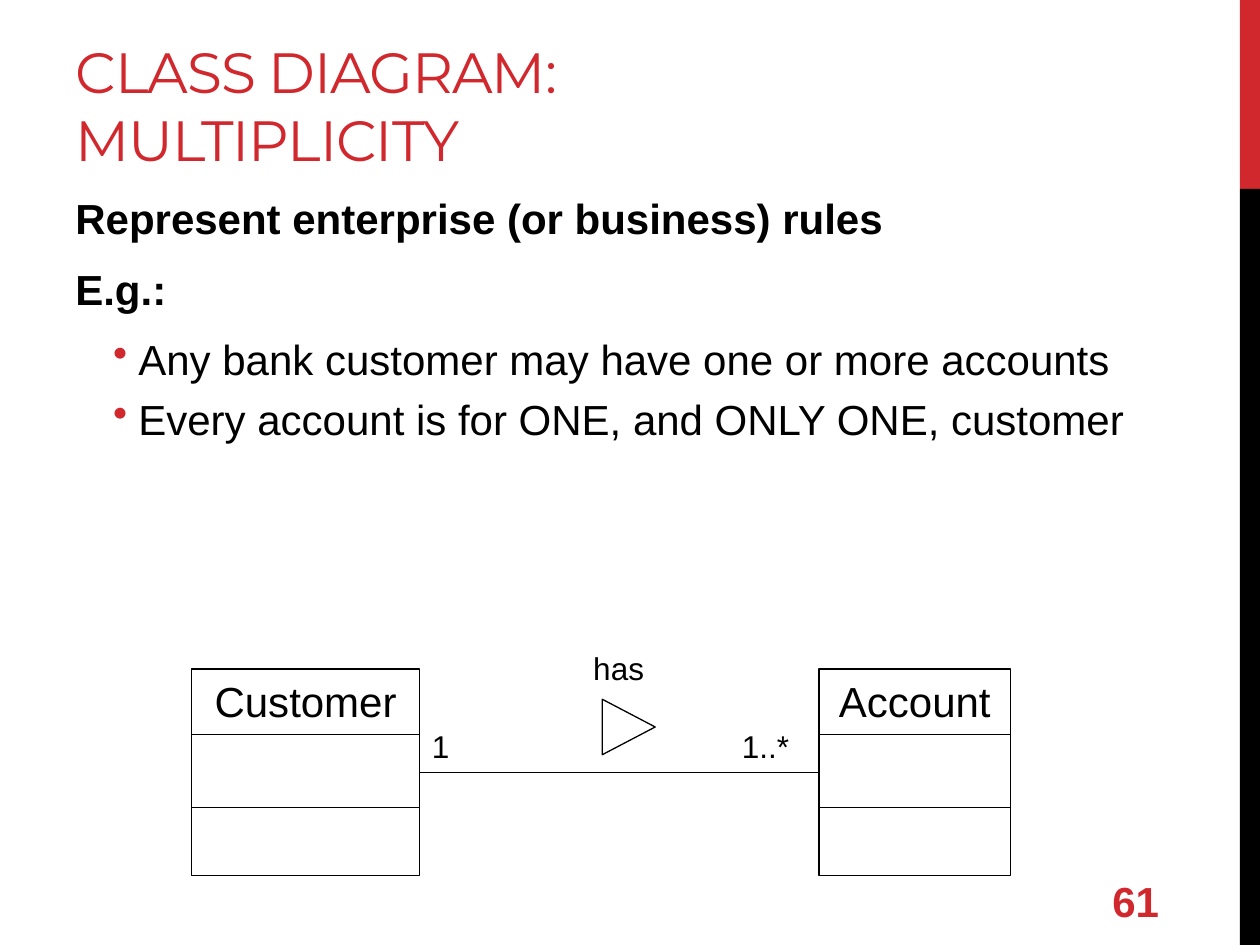
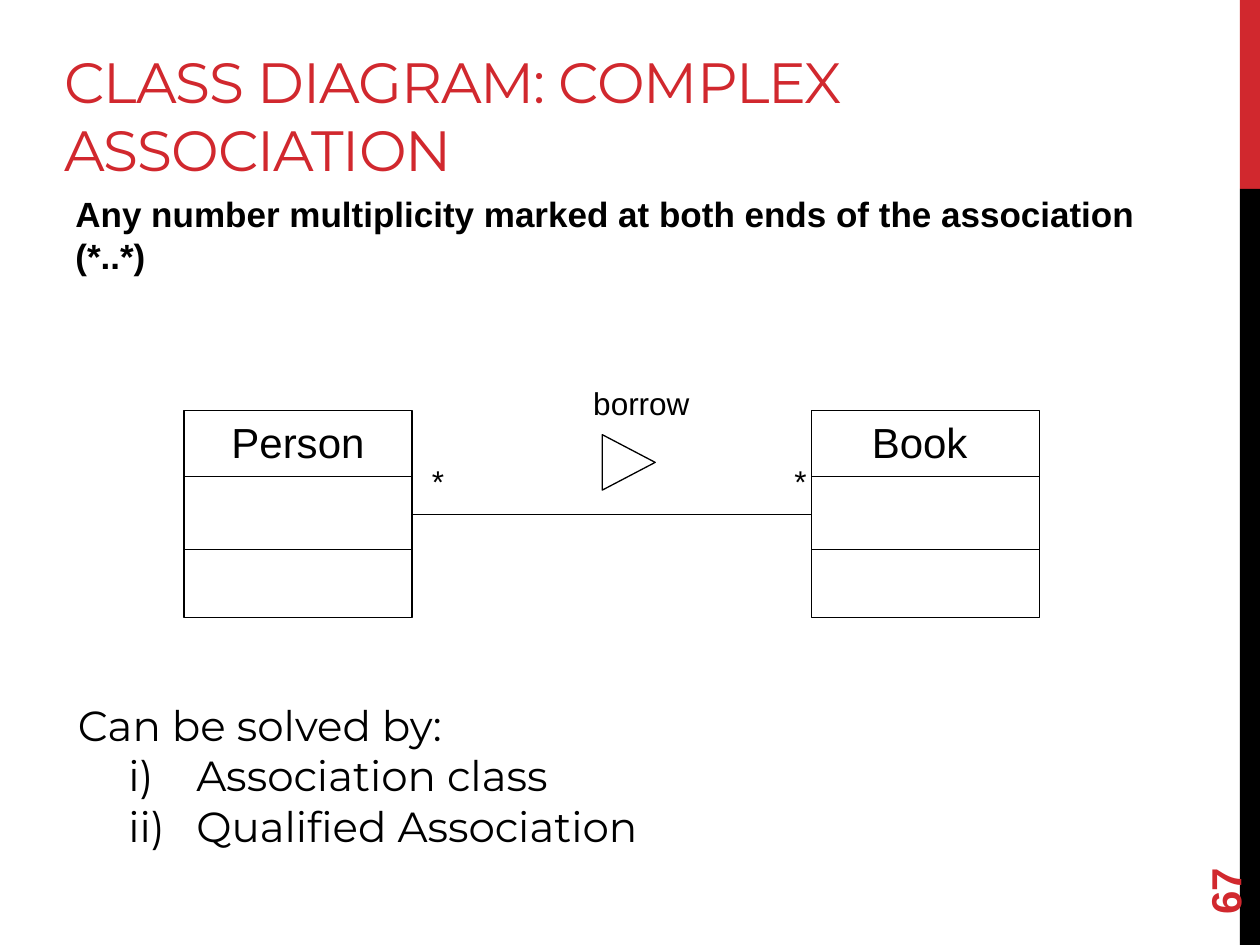
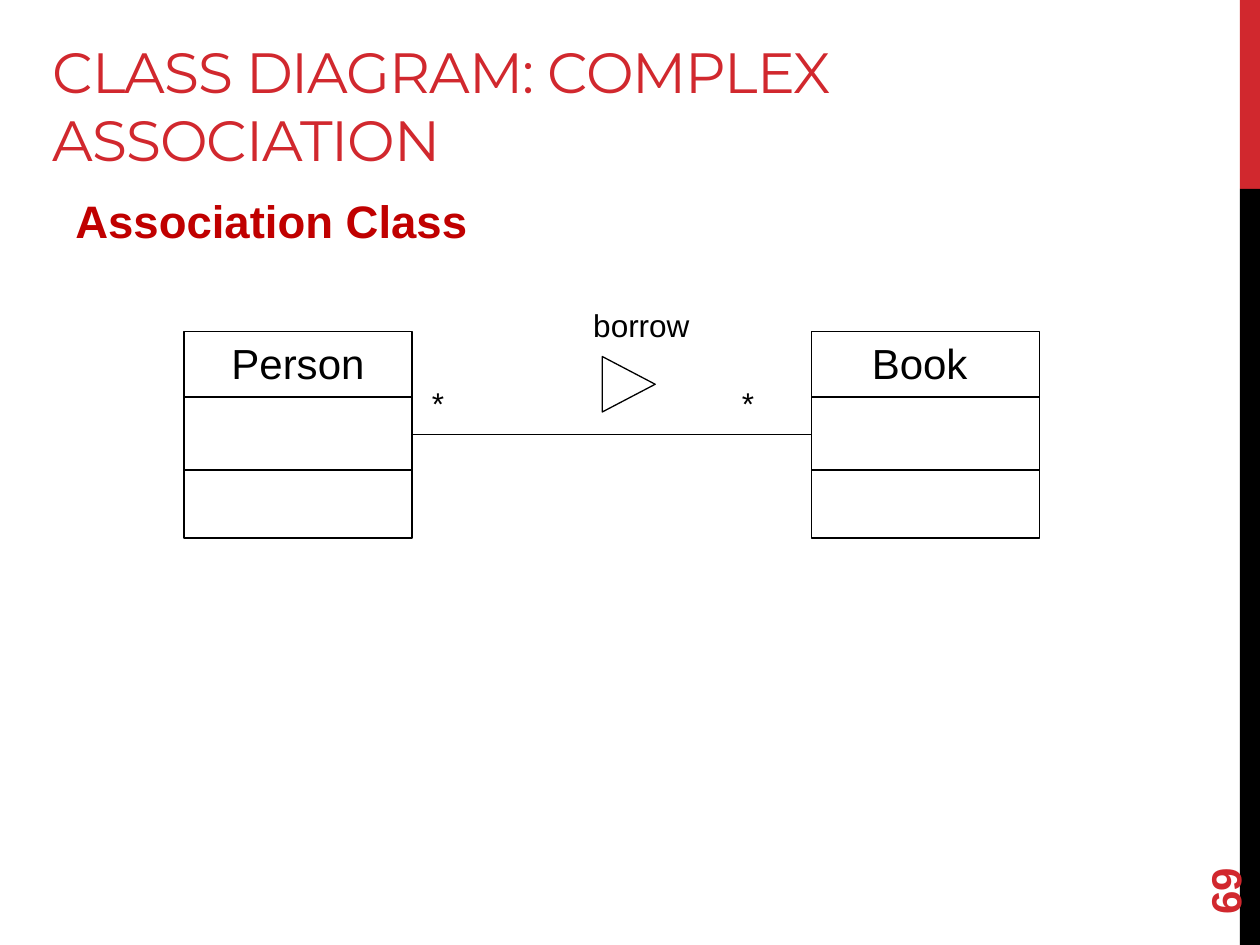
"""Build three class diagram slides about multiplicity and complex association."""
from dataclasses import dataclass

from lxml.etree import SubElement
from pptx import Presentation
from pptx.dml.color import RGBColor
from pptx.enum.shapes import MSO_CONNECTOR, MSO_SHAPE
from pptx.enum.text import MSO_ANCHOR, MSO_AUTO_SIZE, PP_ALIGN
from pptx.oxml.ns import qn
from pptx.util import Inches, Pt


@dataclass(frozen=True)
class Theme:
    red: str = "D1282E"
    dark_red: str = "C00000"
    black: str = "000000"
    white: str = "FFFFFF"
    title_font: str = "Montserrat"
    body_font: str = "Arial"
    title_size: float = 32.4
    text_size: float = 24
    label_size: float = 18
    outline: float = 0.75
    thin_line: float = 0.25


THEME = Theme()
WIDTH, HEIGHT = 10, 7.5
BAND_WIDTH, BAND_SPLIT = 0.16, HEIGHT / 5
CLASS_WIDTH, CLASS_HEIGHT = 1.81, 1.64
NAME_HEIGHT, ATTRIBUTES_HEIGHT = 0.52, 0.58
LABEL_HEIGHT, MULTIPLICITY_WIDTH = 0.4, 0.71
LABEL_LEFT, TRIANGLE_LEFT = 4.61, 4.77
MULTIPLICITY_LEFTS = (3.33, 5.79)
TRIANGLE_DROP, MULTIPLICITY_DROP = 0.46, 0.62
UPRIGHT_NUMBER = (8.73, 6.95, 0.77, 0.4)
TURNED_NUMBER = (9, 6.44, 1.44, 0.4)

BULLET = {"left": 0.5, "hanging": 0.2, "character": "•"}
ROMAN = {"left": 0.94, "hanging": 0.54, "numbering": "romanLcParenR"}

SLIDES = [
    {
        "title": ("CLASS DIAGRAM: MULTIPLICITY", (0.5, 0.17, 6.33, 1.25)),
        "body": [
            ("Represent enterprise (or business) rules", {"bold": True, "after": 6}),
            ("E.g.:", {"bold": True, "before": 5.5, "after": 6}),
            ("Any bank customer may have one or more accounts", {"before": 5.5, "marker": BULLET}),
            ("Every account is for ONE, and ONLY ONE, customer", {"before": 5.5, "marker": BULLET}),
        ],
        "body_height": 3.39,
        "number": ("61", UPRIGHT_NUMBER, 0),
        "classes": [("Customer", 1.52, CLASS_WIDTH), ("Account", 6.5, 1.52)],
        "class_top": 5.31,
        "association": ("has", 0.82, 5.1),
        "multiplicities": [("1", PP_ALIGN.LEFT), ("1..*", PP_ALIGN.LEFT)],
    },
    {
        "title": ("CLASS DIAGRAM: COMPLEX ASSOCIATION", (0.41, 0.25, 8.75, 1.25)),
        "body": [("Any number multiplicity marked at both ends of the association (*..*)",
                  {"bold": True, "size": 20})],
        "body_height": 1.37,
        "number": ("67", TURNED_NUMBER, 270),
        "classes": [("Person", 1.46, CLASS_WIDTH), ("Book ", 6.44, CLASS_WIDTH)],
        "class_top": 3.26,
        "association": ("borrow", 1.18, 3),
        "multiplicities": [("*", PP_ALIGN.LEFT), ("*", PP_ALIGN.RIGHT)],
        "solutions": [
            ("Can be solved by:", {}),
            ("Association class", {"marker": ROMAN}),
            ("Qualified Association", {"marker": ROMAN}),
        ],
    },
    {
        "title": ("CLASS DIAGRAM: COMPLEX ASSOCIATION", (0.32, 0.17, 9.33, 1.25)),
        "body": [("Association Class", {"bold": True, "size": 26, "color": THEME.dark_red})],
        "body_height": 0.85,
        "number": ("69", TURNED_NUMBER, 270),
        "classes": [("Person", 1.46, CLASS_WIDTH), ("Book ", 6.44, CLASS_WIDTH)],
        "class_top": 2.63,
        "association": ("borrow", 1.18, 2.38),
        "multiplicities": [("*", PP_ALIGN.LEFT), ("*", PP_ALIGN.LEFT)],
    },
]


def mark_paragraph(paragraph, left, hanging, character=None, numbering=None):
    """Give a paragraph a hanging indent and a bullet or number."""
    properties = paragraph._p.get_or_add_pPr()
    properties.set("marL", str(Inches(left)))
    properties.set("indent", str(-Inches(hanging)))
    if numbering:
        SubElement(properties, qn("a:buAutoNum"), type=numbering)
    else:
        color = SubElement(properties, qn("a:buClr"))
        SubElement(color, qn("a:srgbClr"), val=THEME.red)
        SubElement(properties, qn("a:buChar"), char=character)


def write(paragraph, text, size=THEME.text_size, font=THEME.body_font, color=THEME.black,
          bold=False, align=PP_ALIGN.LEFT, before=0, after=0, marker=None, tracking=None):
    """Fill a paragraph with formatted text."""
    paragraph.alignment = align
    paragraph.space_before, paragraph.space_after = Pt(before), Pt(after)
    if marker:
        mark_paragraph(paragraph, **marker)
    run = paragraph.add_run()
    run.text = text
    run.font.name, run.font.size, run.font.bold = font, Pt(size), bold
    run.font.color.rgb = RGBColor.from_string(color)
    if tracking:
        run.font._element.set("spc", str(round(tracking * 100)))


def add_text(slide, box, lines, anchor=MSO_ANCHOR.TOP, rotation=0, **common):
    """Add a wrapping text box with one paragraph per line."""
    shape = slide.shapes.add_textbox(*map(Inches, box))
    shape.rotation = rotation
    frame = shape.text_frame
    frame.word_wrap, frame.vertical_anchor = True, anchor
    for index, (text, style) in enumerate(lines):
        paragraph = frame.add_paragraph() if index else frame.paragraphs[0]
        write(paragraph, text, **{**common, **style})


def add_figure(slide, kind, box, fill=THEME.white, line=THEME.black):
    """Add a flat preset shape."""
    shape = slide.shapes.add_shape(kind, *map(Inches, box))
    shape.shadow.inherit = False
    shape.fill.solid()
    shape.fill.fore_color.rgb = RGBColor.from_string(fill)
    if line:
        shape.line.color.rgb = RGBColor.from_string(line)
        shape.line.width = Pt(THEME.outline)
    else:
        shape.line.fill.background()
    return shape


def add_bands(slide):
    """Put the side bands on the layout shared by every slide."""
    for top, bottom, color in ((0, BAND_SPLIT, THEME.red), (BAND_SPLIT, HEIGHT, THEME.black)):
        box = (WIDTH - BAND_WIDTH, top, BAND_WIDTH, bottom - top)
        band = add_figure(slide, MSO_SHAPE.RECTANGLE, box, fill=color, line=None)
        slide.slide_layout.shapes.element.append(band.element)


def add_title(slide, text, box):
    """Move and fill the title placeholder."""
    title = slide.shapes.title
    title.left, title.top, title.width, title.height = map(Inches, box)
    frame = title.text_frame
    frame.auto_size, frame.word_wrap = MSO_AUTO_SIZE.NONE, True
    frame.vertical_anchor = MSO_ANCHOR.BOTTOM
    write(frame.paragraphs[0], text, size=THEME.title_size, font=THEME.title_font,
          color=THEME.red, tracking=-0.6)


def add_class(slide, name, left, top, width):
    """Draw a class with its name, attribute and operation compartments."""
    outline = add_figure(slide, MSO_SHAPE.RECTANGLE, (left, top, width, CLASS_HEIGHT))
    outline.text_frame.vertical_anchor = MSO_ANCHOR.TOP
    write(outline.text_frame.paragraphs[0], name, align=PP_ALIGN.CENTER)
    add_figure(slide, MSO_SHAPE.RECTANGLE, (left, top + NAME_HEIGHT, width, ATTRIBUTES_HEIGHT))
    return outline


def add_association(slide, source, target):
    """Join two classes with a thin line."""
    connector = slide.shapes.add_connector(MSO_CONNECTOR.STRAIGHT, 0, 0, 0, 0)
    connector.begin_connect(source, 3)
    connector.end_connect(target, 1)
    connector.line.color.rgb = RGBColor.from_string(THEME.black)
    connector.line.width = Pt(THEME.thin_line)
    SubElement(connector.element.spPr, qn("a:effectLst"))


def add_diagram(slide, content):
    """Draw two classes, their association and its labels."""
    source, target = [add_class(slide, name, left, content["class_top"], width)
                      for name, left, width in content["classes"]]
    add_association(slide, source, target)
    verb, verb_width, top = content["association"]
    triangle = add_figure(slide, MSO_SHAPE.ISOSCELES_TRIANGLE,
                          (TRIANGLE_LEFT, top + TRIANGLE_DROP, 0.44, 0.42))
    triangle.rotation = 90
    add_text(slide, (LABEL_LEFT, top, verb_width, LABEL_HEIGHT), [(verb, {})],
             size=THEME.label_size)
    for left, (text, align) in zip(MULTIPLICITY_LEFTS, content["multiplicities"]):
        box = (left, top + MULTIPLICITY_DROP, MULTIPLICITY_WIDTH, LABEL_HEIGHT)
        add_text(slide, box, [(text, {})], size=THEME.label_size, align=align)


def main():
    """Build and save the presentation."""
    presentation = Presentation()
    presentation.slide_width, presentation.slide_height = Inches(WIDTH), Inches(HEIGHT)
    layout = presentation.slide_layouts.get_by_name("Title Only")
    for index, content in enumerate(SLIDES):
        slide = presentation.slides.add_slide(layout)
        if index == 0:
            add_bands(slide)
        add_title(slide, *content["title"])
        add_text(slide, (0.5, 1.48, 9, content["body_height"]), content["body"])
        number, box, rotation = content["number"]
        add_text(slide, box, [(number, {})], anchor=MSO_ANCHOR.MIDDLE, rotation=rotation,
                 color=THEME.red, bold=True)
        add_diagram(slide, content)
        if "solutions" in content:
            add_text(slide, (0.52, 5.5, 7.73, 1.31), content["solutions"], font=THEME.title_font)
    presentation.save("out.pptx")


if __name__ == "__main__":
    main()
